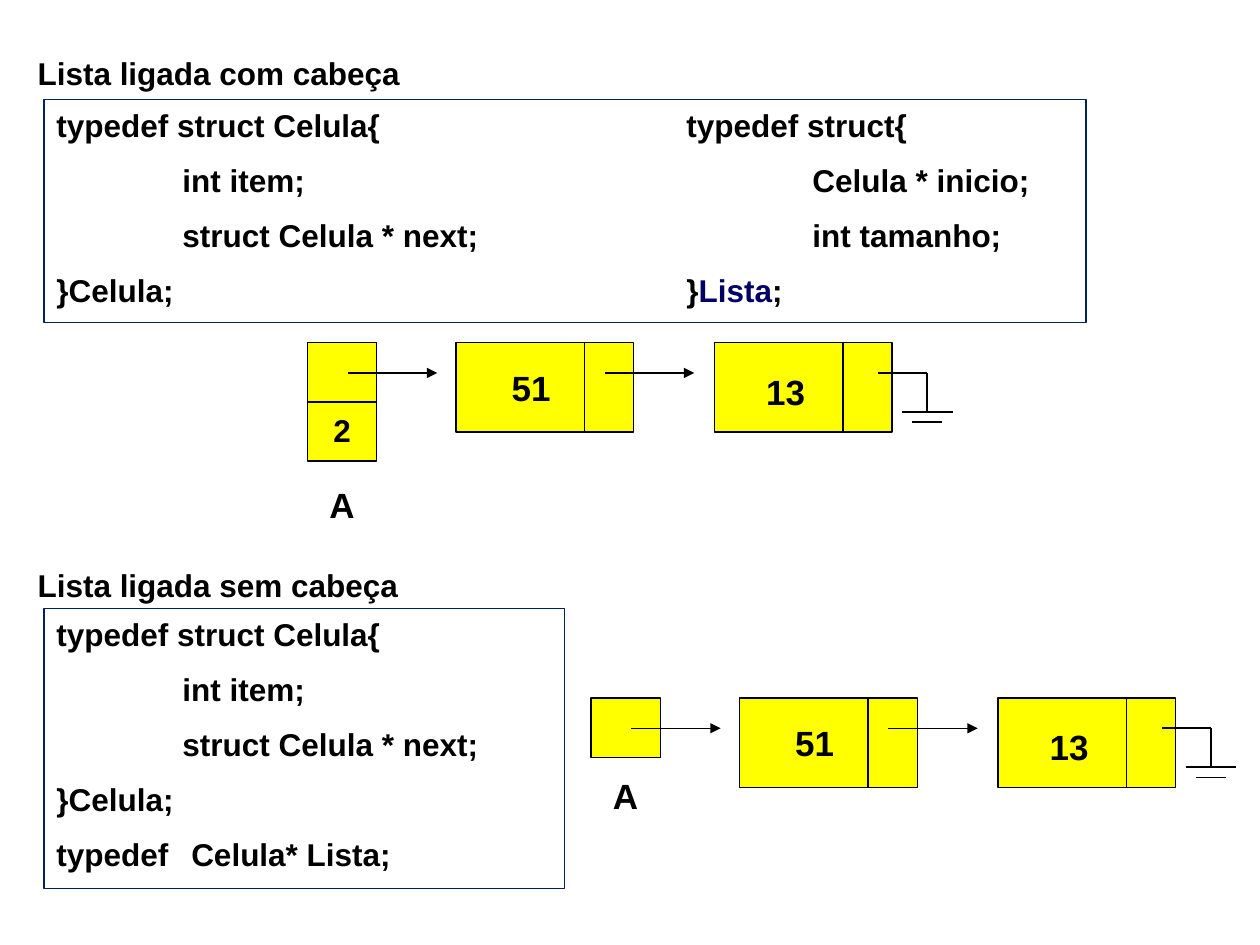
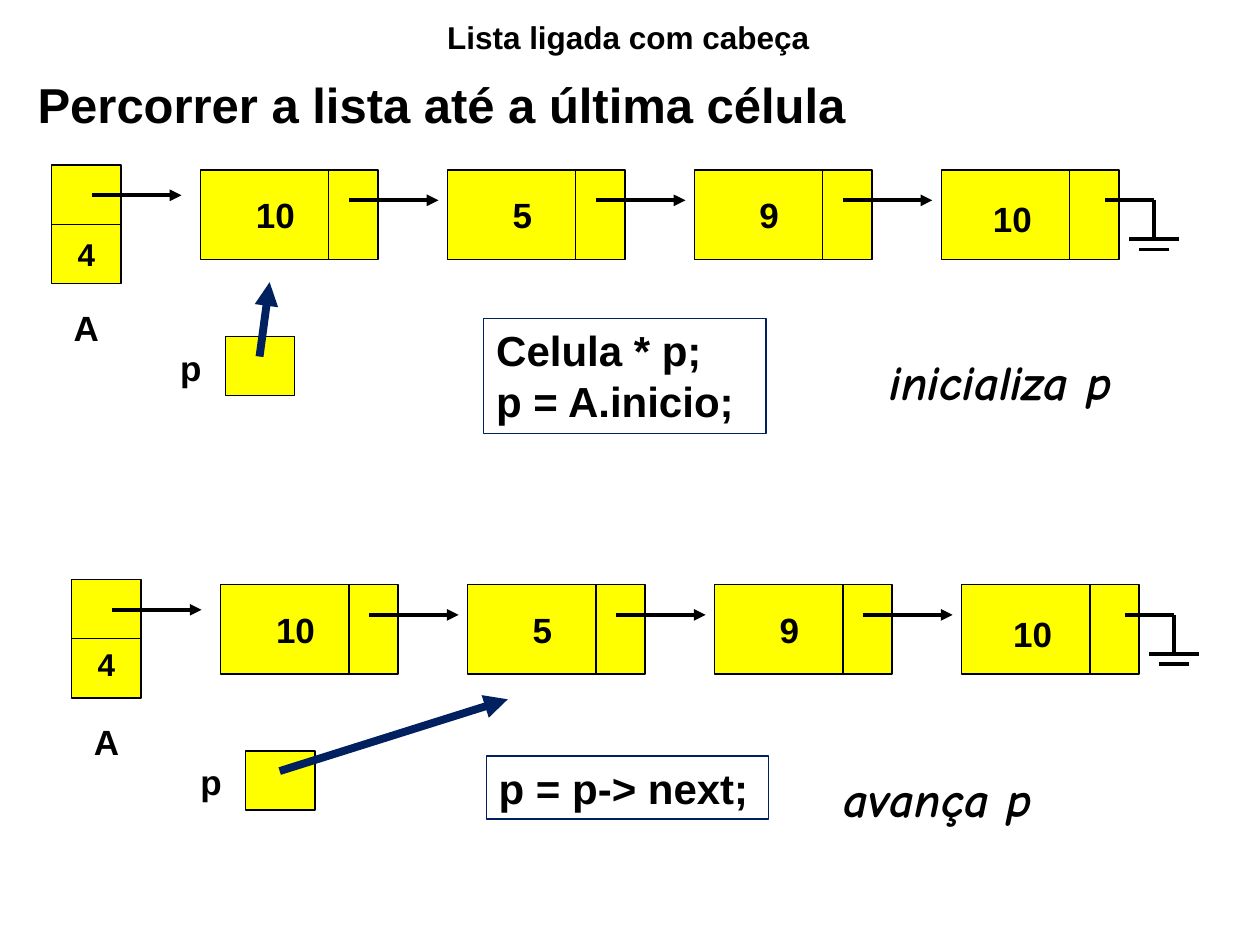
from lxml import etree
from pptx import Presentation
from pptx.dml.color import RGBColor
from pptx.enum import shapes, text
from pptx.oxml import ns
from pptx.util import Inches, Pt

HEX = {"ink": "000000", "cell": "FFFF00", "navy": "002060", "name": "000066"}
FONT, NOTE = "Arial", "Comic Neue"
CELL_W, CELL_H = 0.55, 0.47       # pointer cell
DATA_W, LINK_W, NODE_H = 1.02, 0.39, 0.71
REACH = 0.71                      # length of a link arrow
LINK_Y = 0.24                     # link height below the top of a cell


def color(key):
    return RGBColor.from_string(HEX[key])


def sub(parent, tag, **attrs):
    return etree.SubElement(parent, ns.qn(tag), **attrs)


# Text: each line is a list of (words, colour) runs
def write(shape, lines, size, font=FONT, center=False, gap=0, tabs=(), slant=False):
    frame = shape.text_frame
    frame.word_wrap = True
    frame.vertical_anchor = text.MSO_ANCHOR.TOP
    for i, runs in enumerate(lines):
        par = frame.paragraphs[0] if i == 0 else frame.add_paragraph()
        par.alignment = text.PP_ALIGN.CENTER if center else text.PP_ALIGN.LEFT
        if gap and i:
            par.space_before = Pt(gap)
        if tabs and tabs[i]:
            stops = sub(par._p.get_or_add_pPr(), "a:tabLst")
            for pos in tabs[i]:
                sub(stops, "a:tab", pos=str(Inches(pos)), algn="l")
        for words, key in runs:
            run = par.add_run()
            run.text = words
            run.font.name, run.font.size = font, Pt(size)
            run.font.bold, run.font.italic = True, slant
            run.font.color.rgb = color(key)


def plain(*lines):
    return [[(line, "ink")] for line in lines]


def label(slide, words, x, y, w, h, size, **look):
    area = slide.shapes.add_textbox(Inches(x), Inches(y), Inches(w), Inches(h))
    write(area, plain(words), size, **look)


def tag(slide, words, x, y, size=20):
    label(slide, words, x, y, CELL_W, 0.44, size, center=True)


# Boxes and lines
def box(slide, x, y, w, h, fill="cell", edge="ink"):
    rect = slide.shapes.add_shape(shapes.MSO_SHAPE.RECTANGLE,
                                  Inches(x), Inches(y), Inches(w), Inches(h))
    rect.shadow.inherit = False
    if fill:
        rect.fill.solid()
        rect.fill.fore_color.rgb = color(fill)
    else:
        rect.fill.background()
    rect.line.color.rgb = color(edge)
    rect.line.width = Pt(0.75)
    return rect


def code(slide, lines, x, y, w, h, size, **look):
    write(box(slide, x, y, w, h, None, "navy"), lines, size, **look)


def line(slide, x1, y1, x2, y2, width, key="ink", arrow=False):
    link = slide.shapes.add_connector(shapes.MSO_CONNECTOR.STRAIGHT,
                                      Inches(x1), Inches(y1), Inches(x2), Inches(y2))
    link.line.color.rgb = color(key)
    link.line.width = Pt(width)
    if arrow:
        sub(link.line._get_or_add_ln(), "a:tailEnd", type="triangle")
    sub(link._element.spPr, "a:effectLst")


# Parts of a linked list
def head(slide, x, y, width, count=None, drop=0.02):
    box(slide, x, y, CELL_W, CELL_H)
    if count:
        box(slide, x, y + CELL_H, CELL_W, CELL_H)
        tag(slide, count, x, y + CELL_H + drop, 18)
    tag(slide, "A", x, y + (1.07 if count else 0.56))
    line(slide, x + 0.32, y + LINK_Y, x + 0.32 + REACH, y + LINK_Y, width, arrow=True)


def ground(slide, x, y, width):
    mid, top, base = x + 1.69, y + LINK_Y, y + 0.55
    line(slide, x + 1.3, top, mid, top, width)
    line(slide, mid, top, mid, base, width)
    for half, level in ((0.2, base), (0.12, base + 0.08)):
        line(slide, mid - half, level, mid + half, level, width)


def chain(slide, values, x, y, pitch, width, end):
    for i, value in enumerate(values):
        left, last = x + i * pitch, i == len(values) - 1
        box(slide, left, y, DATA_W, NODE_H)
        box(slide, left + DATA_W, y, LINK_W, NODE_H)
        dx, dy = (0.29, 0.17) if last else (0.32, 0.14)
        tag(slide, value, left + dx, y + dy)
        if last:
            ground(slide, left, y, end)
        else:
            start = left + 1.18
            line(slide, start, y + LINK_Y, start + REACH, y + LINK_Y, width, arrow=True)


def types(slide):
    gap = 9.9
    label(slide, "Lista ligada com cabeça", 0.2, 0.38, 3.11, 0.4, 18)
    both = plain("typedef struct Celula{\ttypedef struct{",
                 "\tint item;\tCelula * inicio;",
                 "\tstruct Celula * next;\tint tamanho;")
    both.append([("}Celula;\t}", "ink"), ("Lista", "name"), (";", "ink")])
    code(slide, both, 0.35, 0.79, 8.27, 1.77, 18, gap=gap,
         tabs=((5,), (1, 6), (1, 6), (5,)))
    head(slide, 2.44, 2.72, 0.75, "2")
    chain(slide, ("51", "13"), 3.62, 2.72, 2.05, 0.75, 1)

    label(slide, "Lista ligada sem cabeça", 0.2, 4.44, 3.09, 0.4, 18)
    single = plain("typedef struct Celula{", "\tint item;", "\tstruct Celula * next;",
                   "}Celula;", "typedef\tCelula* Lista;")
    code(slide, single, 0.35, 4.83, 4.13, 2.22, 18, gap=gap,
         tabs=((), (1,), (1,), (), (1.07,)))
    head(slide, 4.69, 5.54, 0.75)
    chain(slide, ("51", "13"), 5.87, 5.54, 2.05, 0.75, 1)


def walk(slide):
    label(slide, "Lista ligada com cabeça", 3.45, 0.09, 3.11, 0.4, 18)
    label(slide, "Percorrer a lista até a última célula", 0.2, 0.54, 6.69, 0.57, 28)
    # Each step: list corner, count drop, target of p
    steps = ((0.41, 1.31, 0.04, (2.14, 2.24)), (0.57, 4.6, 0, (4.03, 5.55)))
    for x, y, drop, goal in steps:
        head(slide, x, y, 2.25, "4", drop)
        chain(slide, ("10", "5", "9", "10"), x + 1.18, y + 0.04, 1.96, 2.25, 2.25)
        box(slide, x + 1.38, y + 1.36, CELL_W, CELL_H)
        tag(slide, "p", x + 0.83, y + 1.39)
        line(slide, x + 1.65, y + 1.52, *goal, 4.5, "navy", True)
    code(slide, plain("Celula * p;", "p = A.inicio;"), 3.84, 2.53, 2.24, 0.91, 24)
    code(slide, plain("p = p-> next;"), 3.86, 6, 2.24, 0.5, 24)
    label(slide, "inicializa p", 6.96, 2.74, 2.35, 0.57, 28, font=NOTE, slant=True)
    label(slide, "avança p", 6.6, 6.05, 2.17, 0.57, 28, font=NOTE, slant=True)


def main():
    deck = Presentation()
    deck.slide_width, deck.slide_height = Inches(10), Inches(7.5)
    for draw in (types, walk):
        draw(deck.slides.add_slide(deck.slide_layouts[6]))
    deck.save("out.pptx")


main()
